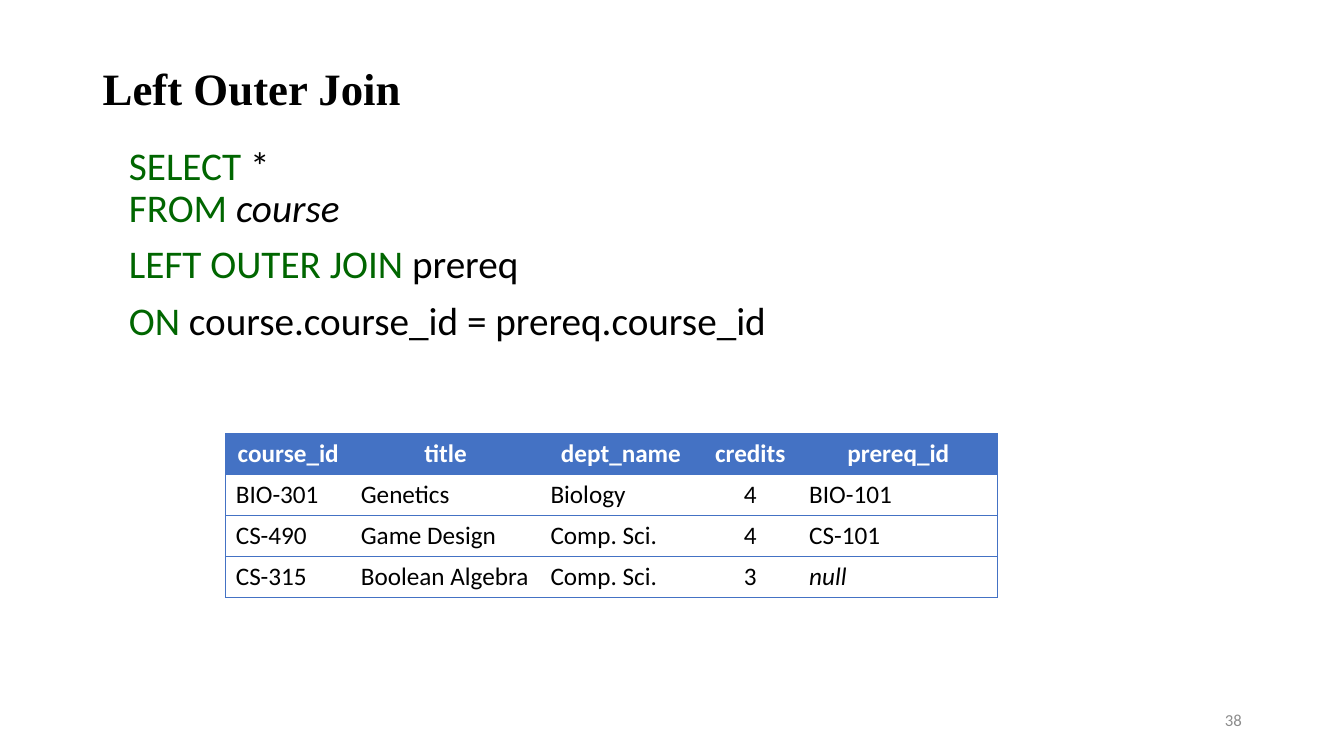
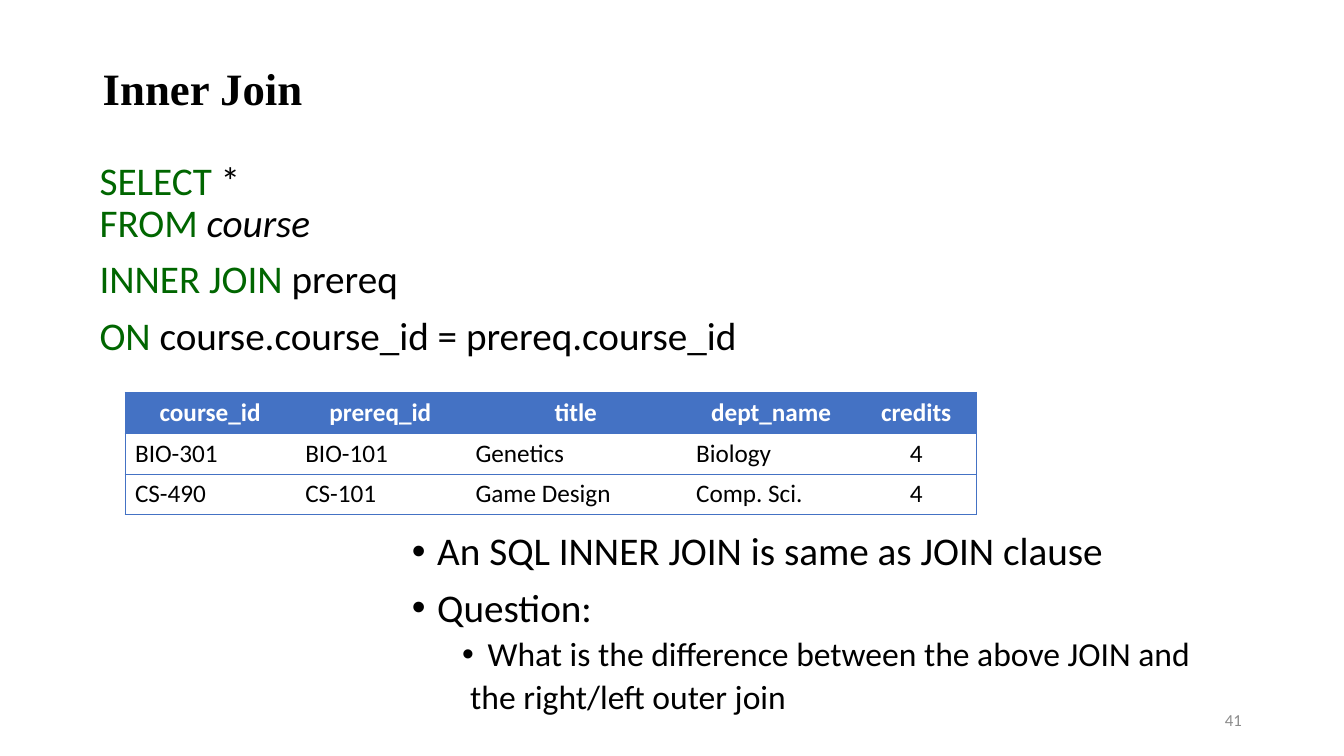
from lxml import etree
from pptx import Presentation
from pptx.dml.color import RGBColor
from pptx.enum.text import MSO_ANCHOR, PP_ALIGN
from pptx.oxml.ns import qn
from pptx.util import Cm, Pt

LEFT, CENTER, RIGHT = PP_ALIGN.LEFT, PP_ALIGN.CENTER, PP_ALIGN.RIGHT
TOP, MIDDLE = MSO_ANCHOR.TOP, MSO_ANCHOR.MIDDLE

COLORS = {"text": "000000", "keyword": "006600", "table": "4472C4",
          "header": "FFFFFF", "number": "8C8C8C"}
TITLE_FONT, BODY_FONT = "Times New Roman", "Calibri"
SLIDE_SIZE = (33.87, 19.05)
TITLE_BOX = (2.34, 1.02, 29.21, 2.54)
NUMBER_BOX = (23.93, 17.65, 7.62, 1.02)
QUERY_SIZE = (29.21, 13.82)
ROW_HEIGHT = 1.03
BORDER_WIDTH = Pt(0.5)


def color(name):
    """Return the named colour."""
    return RGBColor.from_string(COLORS[name])


def style(font, size, tint="text", face=BODY_FONT, bold=False):
    """Apply size, colour, face and weight to a font."""
    font.size, font.name, font.bold = Pt(size), face, bold
    font.color.rgb = color(tint)


def add_frame(slide, box, anchor=TOP):
    """Add a wrapping text box and return its text frame."""
    frame = slide.shapes.add_textbox(*map(Cm, box)).text_frame
    frame.word_wrap = True
    frame.vertical_anchor = anchor
    return frame


def next_paragraph(frame, index, space, align=LEFT):
    """Return a spaced paragraph, with no space before the first."""
    paragraph = frame.add_paragraph() if index else frame.paragraphs[0]
    paragraph.space_before = Pt(space if index else 0)
    paragraph.line_spacing = 0.9
    paragraph.alignment = align
    return paragraph


def add_title(slide, title):
    """Place the slide title."""
    heading = next_paragraph(add_frame(slide, TITLE_BOX, MIDDLE), 0, 0)
    heading.text = title
    style(heading.font, 32, face=TITLE_FONT, bold=True)


def add_number(slide, number):
    """Place the slide number at the lower right."""
    footer = next_paragraph(add_frame(slide, NUMBER_BOX, MIDDLE), 0, 0, RIGHT)
    footer.text = str(number)
    style(footer.font, 12, "number")


def add_clause(paragraph, keyword, operand, italic=False):
    """Write one SQL clause with a coloured keyword."""
    keyword_run = paragraph.add_run()
    keyword_run.text = keyword + " "
    keyword_run.font.color.rgb = color("keyword")
    operand_run = paragraph.add_run()
    operand_run.text = operand
    if italic:
        operand_run.font.italic = True


def add_query(slide, left, top, join):
    """Place the join query at the given corner."""
    frame = add_frame(slide, (left, top, *QUERY_SIZE))
    select, joined, condition = (next_paragraph(frame, i, 10) for i in range(3))
    for paragraph in (select, joined, condition):
        style(paragraph.font, 28)
    add_clause(select, "SELECT", "*")
    select.add_line_break()
    add_clause(select, "FROM", "course", italic=True)
    add_clause(joined, join, "prereq")
    add_clause(condition, "ON", "course.course_id = prereq.course_id")


def set_borders(cell, sides):
    """Draw the given sides of a cell and hide the others."""
    properties = cell._tc.get_or_add_tcPr()
    for side in "LRTB":
        line = etree.SubElement(properties, qn(f"a:ln{side}"), w=str(BORDER_WIDTH))
        if side in sides:
            fill = etree.SubElement(line, qn("a:solidFill"))
            etree.SubElement(fill, qn("a:srgbClr"), val=COLORS["table"])
        else:
            etree.SubElement(line, qn("a:noFill"))


def add_result(slide, left, top, widths, rows):
    """Place a query result, header row first."""
    size = (sum(widths), ROW_HEIGHT * len(rows))
    table = slide.shapes.add_table(len(rows), len(widths),
                                   *map(Cm, (left, top, *size))).table
    table.horz_banding = False
    for column, width in zip(table.columns, widths):
        column.width = Cm(width)
    for r, row in enumerate(rows):
        table.rows[r].height = Cm(ROW_HEIGHT)
        for c, value in enumerate(row):
            cell = table.cell(r, c)
            is_header = r == 0
            set_borders(cell, "TB" + "L" * (c == 0) + "R" * (c == len(row) - 1))
            if is_header:
                cell.fill.solid()
                cell.fill.fore_color.rgb = color("table")
            else:
                cell.fill.background()
            cell.text = value
            entry = cell.text_frame.paragraphs[0]
            centered = is_header or rows[0][c] == "credits"
            entry.alignment = CENTER if centered else LEFT
            style(entry.font, 18, "header" if is_header else "text", bold=is_header)
            entry.font.italic = value == "null"


def add_notes(slide, box, points):
    """Place points given as text, level, margin and bullet flag."""
    frame = add_frame(slide, box)
    for i, (text, level, margin, bulleted) in enumerate(points):
        point = next_paragraph(frame, i, 5 if level else 10)
        point.level = level
        point.text = text
        properties = point._p.get_or_add_pPr()
        properties.set("marL", str(Cm(margin)))
        properties.set("indent", str(Cm(-0.64 if bulleted else 0)))
        if bulleted:
            etree.SubElement(properties, qn("a:buFont"), typeface="Arial")
            etree.SubElement(properties, qn("a:buChar"), char="•")
        else:
            etree.SubElement(properties, qn("a:buNone"))
        style(point.font, 24 if level else 28)


def new_slide(deck, title, number):
    """Add a blank slide with its title and number."""
    slide = deck.slides.add_slide(deck.slide_layouts[6])
    add_title(slide, title)
    add_number(slide, number)
    return slide


def build_left_outer_join(deck):
    """Build the left outer join slide."""
    slide = new_slide(deck, "Left Outer Join", 38)
    add_query(slide, 3, 3.56, "LEFT OUTER JOIN")
    add_result(slide, 5.69, 10.92, (3.15, 4.78, 4.06, 2.46, 5), (
        ("course_id", "title", "dept_name", "credits", "prereq_id"),
        ("BIO-301", "Genetics", "Biology", "4", "BIO-101"),
        ("CS-490", "Game Design", "Comp. Sci.", "4", "CS-101"),
        ("CS-315", "Boolean Algebra", "Comp. Sci.", "3", "null"),
    ))


def build_inner_join(deck):
    """Build the inner join slide."""
    slide = new_slide(deck, "Inner Join", 41)
    add_query(slide, 2.26, 3.94, "INNER JOIN")
    add_result(slide, 3.15, 9.88, (4.29, 4.29, 5.56, 4.29, 3.02), (
        ("course_id", "prereq_id", "title", "dept_name", "credits"),
        ("BIO-301", "BIO-101", "Genetics", "Biology", "4"),
        ("CS-490", "CS-101", "Game Design", "Comp. Sci.", "4"),
    ))
    add_notes(slide, (10.13, 13.28, 22.91, 5.64), (
        ("An SQL INNER JOIN is same as JOIN clause", 0, 0.64, True),
        ("Question:", 0, 0.64, True),
        ("What is the difference between the above JOIN and", 1, 1.91, True),
        ("the right/left outer join", 1, 1.47, False),
    ))


def main():
    """Build and save the deck."""
    deck = Presentation()
    deck.slide_width, deck.slide_height = map(Cm, SLIDE_SIZE)
    build_left_outer_join(deck)
    build_inner_join(deck)
    deck.save("out.pptx")


if __name__ == "__main__":
    main()
